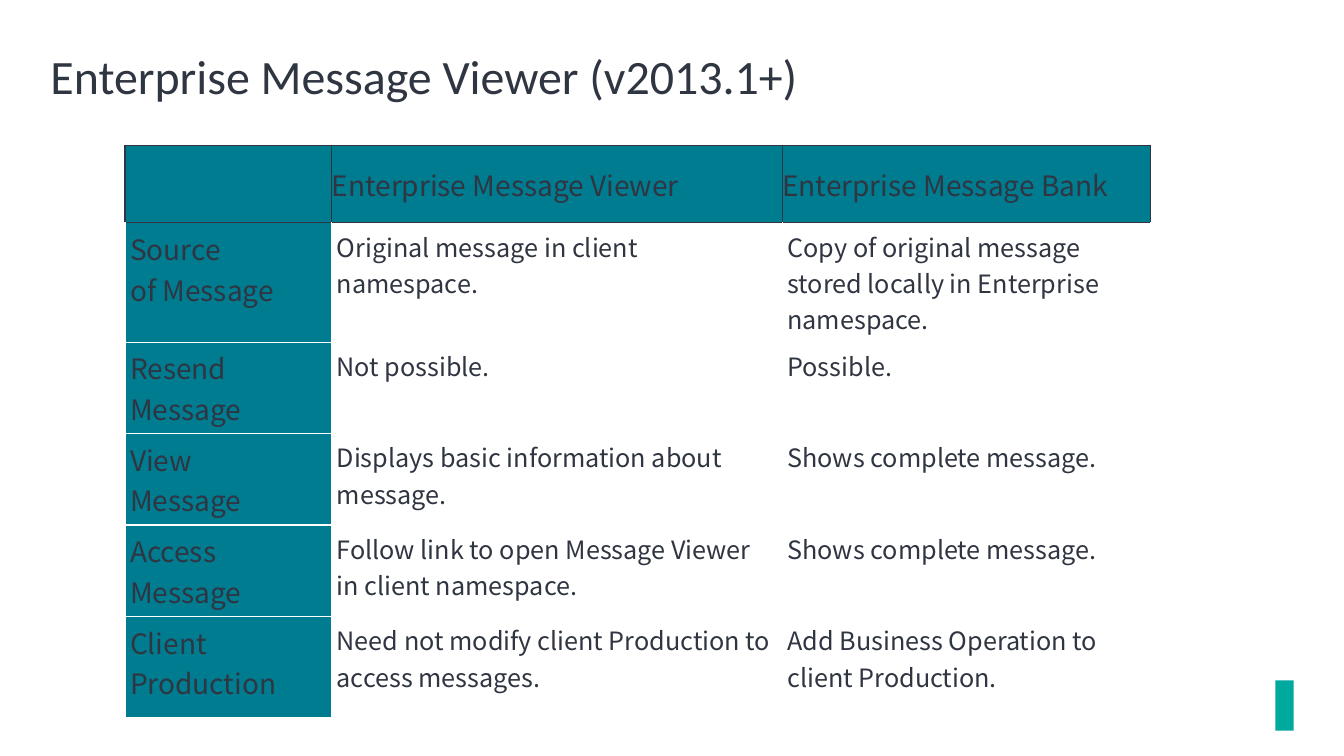
"""Build the message viewer comparison slide."""
from lxml.etree import SubElement
from pptx import Presentation
from pptx.dml.color import RGBColor
from pptx.enum.shapes import MSO_SHAPE as Shape
from pptx.enum.text import MSO_ANCHOR as Anchor, MSO_AUTO_SIZE as AutoSize, PP_ALIGN as Align
from pptx.oxml.ns import qn
from pptx.util import Inches, Pt

COLOURS = {"ink": "2F3541", "teal": "007C91", "white": "FFFFFF", "mark": "00A99D"}
TITLE_FONT = "Calibri"
TABLE_FONT = "Noto Sans CJK SC"
COLUMN_WIDTHS = [2.05, 4.47, 3.65]
ROW_HEIGHTS = [0.77, 1, 0.77, 0.77, 0.77, 1]
ROWS = [
    ["", "Enterprise Message Viewer", "Enterprise Message Bank"],
    ["Source\nof Message", "Original message in client namespace.",
     "Copy of original message stored locally in Enterprise namespace."],
    ["Resend\nMessage", "Not possible.", "Possible."],
    ["View\nMessage", "Displays basic information about message.", "Shows complete message."],
    ["Access\nMessage", "Follow link to open Message Viewer in client namespace.",
     "Shows complete message."],
    ["Client Production", "Need not modify client Production to access messages.",
     "Add Business Operation to client Production."],
]


def colour(name):
    """Return the named colour."""
    return RGBColor.from_string(COLOURS[name])


def set_margins(target, inset):
    """Give a cell or text frame the same inset on all sides."""
    target.margin_left = target.margin_right = Inches(inset)
    target.margin_top = target.margin_bottom = Inches(inset)


def add_span(para, text, font, size):
    """Add one formatted run to a paragraph."""
    span = para.add_run()
    span.text = text
    span.font.name = font
    span.font.size = Pt(size)
    span.font.color.rgb = colour("ink")


def add_title(page, text):
    """Place and fill the title placeholder."""
    title = page.shapes.title
    title.left, title.top = Inches(0.5), Inches(0.51)
    title.width, title.height = Inches(12.33), Inches(0.55)
    frame = title.text_frame
    frame.auto_size = AutoSize.NONE
    frame.vertical_anchor = Anchor.MIDDLE
    set_margins(frame, 0)
    para = frame.paragraphs[0]
    para.alignment = Align.LEFT
    para.line_spacing = 0.9
    add_span(para, text, TITLE_FONT, 34.2)


def set_borders(cell, top, others):
    """Draw one-point borders around a cell."""
    properties = cell._tc.get_or_add_tcPr()
    for side, name in zip("LRTB", (others, others, top, others)):
        line = SubElement(properties, qn(f"a:ln{side}"), w=str(Pt(1)))
        fill = SubElement(line, qn("a:solidFill"))
        SubElement(fill, qn("a:srgbClr"), val=COLOURS[name])


def fill_cell(cell, text, row, column):
    """Format a cell by its role and write its text."""
    header, label = row == 0, column == 0
    set_borders(cell, "ink" if row < 2 else "white", "ink" if header else "white")
    if header or label:
        cell.fill.solid()
        cell.fill.fore_color.rgb = colour("teal")
    else:
        cell.fill.background()
    set_margins(cell, 0 if header else 0.05)
    cell.vertical_anchor = Anchor.MIDDLE if header else Anchor.TOP
    para = cell.text_frame.paragraphs[0]
    if not (header or label):
        para.space_before = Pt(4)
    for number, line in enumerate(text.split("\n") if text else []):
        if number:
            para.add_line_break()
        add_span(para, line, TABLE_FONT, 20 if header or label else 18)


def add_comparison(page):
    """Add the comparison table."""
    frame = page.shapes.add_table(
        len(ROWS), len(COLUMN_WIDTHS), Inches(1.24), Inches(1.44),
        Inches(sum(COLUMN_WIDTHS)), Inches(sum(ROW_HEIGHTS)))
    table = frame.table
    table.first_row = table.horz_banding = False
    for column, width in zip(table.columns, COLUMN_WIDTHS):
        column.width = Inches(width)
    for row, height in zip(table.rows, ROW_HEIGHTS):
        row.height = Inches(height)
    for row, texts in enumerate(ROWS):
        for column, text in enumerate(texts):
            fill_cell(table.cell(row, column), text, row, column)


def add_corner_mark(page):
    """Add a plain block in the bottom right corner."""
    mark = page.shapes.add_shape(
        Shape.RECTANGLE, Inches(12.65), Inches(6.75), Inches(0.18), Inches(0.5))
    mark.shadow.inherit = False
    mark.fill.solid()
    mark.fill.fore_color.rgb = colour("mark")
    mark.line.fill.background()


def main():
    """Build and save the deck."""
    deck = Presentation()
    deck.slide_width, deck.slide_height = Inches(13.33), Inches(7.5)
    page = deck.slides.add_slide(deck.slide_layouts[5])
    page.background.fill.solid()
    page.background.fill.fore_color.rgb = colour("white")
    add_corner_mark(page)
    add_title(page, "Enterprise Message Viewer (v2013.1+)")
    add_comparison(page)
    deck.save("out.pptx")


if __name__ == "__main__":
    main()
